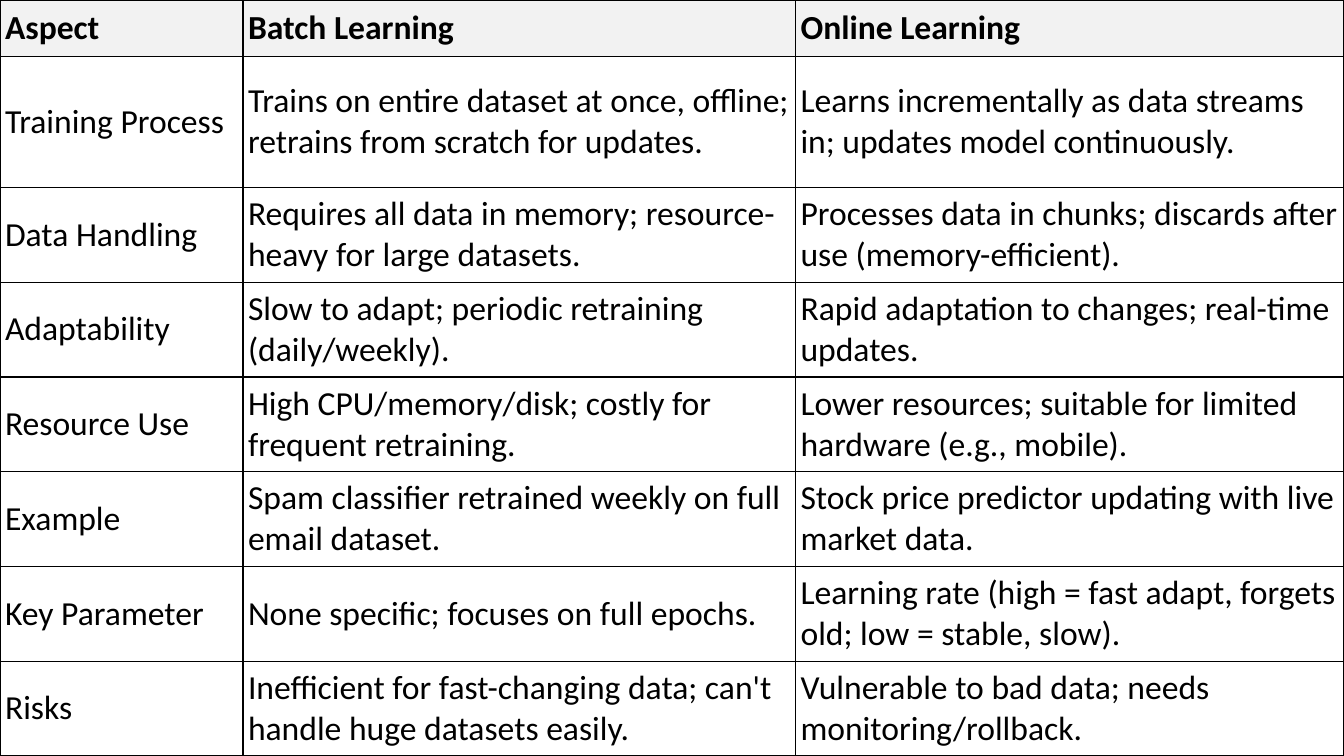
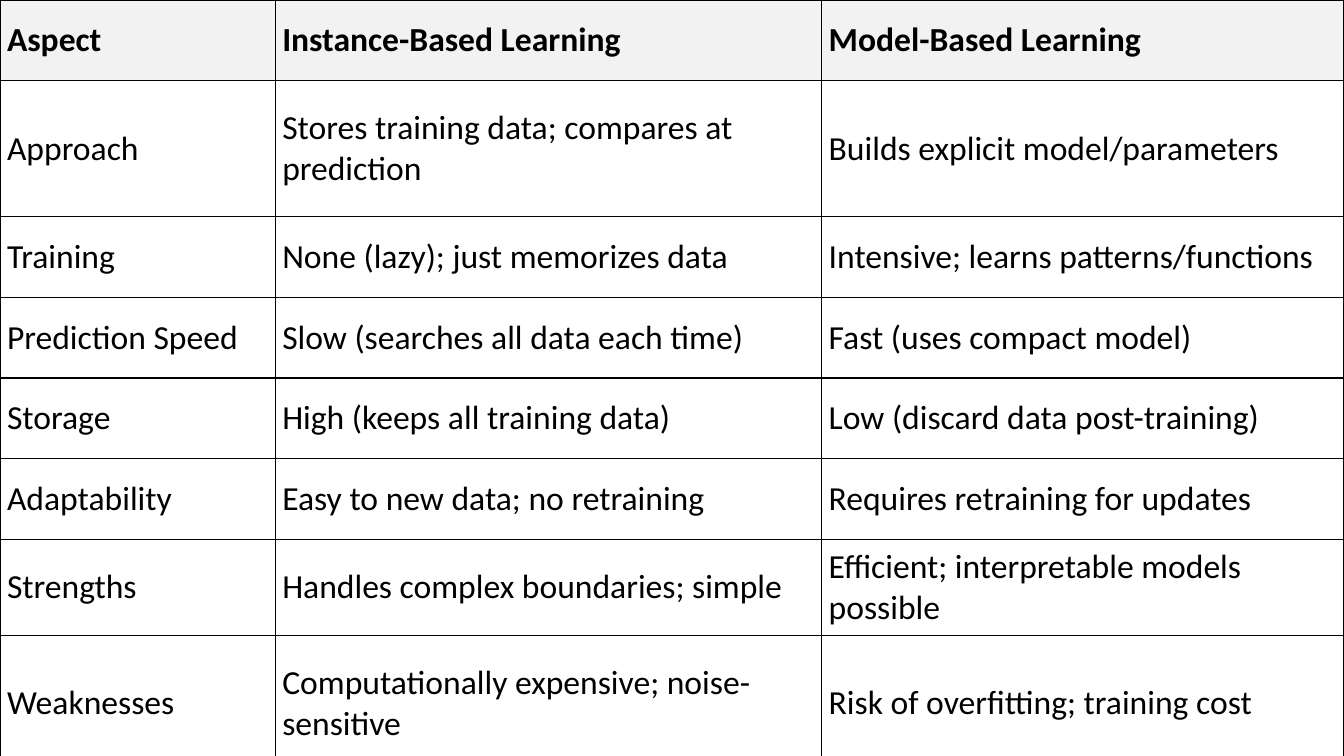
from dataclasses import dataclass, field

from pptx import Presentation
from pptx.dml.color import RGBColor
from pptx.enum.text import MSO_ANCHOR
from pptx.oxml.ns import qn
from pptx.presentation import Presentation as Deck
from pptx.table import _Cell as Cell
from pptx.util import Inches, Pt
from lxml.etree import SubElement

SLIDE_WIDTH, SLIDE_HEIGHT = 13.33, 7.5
COLORS = {"text": "000000", "border": "000000", "header": "F2F2F2"}
FONT_NAME, FONT_SIZE = "Calibri", 24
BORDER_WIDTH = 1


@dataclass(frozen=True)
class Comparison:
    """A full-slide table; the last column takes the width left over."""
    rows: list[tuple[str, str, str]]
    left_columns: tuple[float, float]
    row_height: float
    margin: float
    special_heights: dict[int, float] = field(default_factory=dict)

    def column_widths(self) -> list[float]:
        return [*self.left_columns, SLIDE_WIDTH - sum(self.left_columns)]

    def row_heights(self) -> list[float]:
        return [self.special_heights.get(index, self.row_height)
                for index in range(len(self.rows))]


COMPARISONS = [
    Comparison(
        rows=[
            ("Aspect", "Batch Learning", "Online Learning"),
            ("Training Process",
             "Trains on entire dataset at once, offline; retrains from scratch for updates.",
             "Learns incrementally as data streams in; updates model continuously."),
            ("Data Handling",
             "Requires all data in memory; resource-heavy for large datasets.",
             "Processes data in chunks; discards after use (memory-efficient)."),
            ("Adaptability",
             "Slow to adapt; periodic retraining (daily/weekly).",
             "Rapid adaptation to changes; real-time updates."),
            ("Resource Use",
             "High CPU/memory/disk; costly for frequent retraining.",
             "Lower resources; suitable for limited hardware (e.g., mobile)."),
            ("Example",
             "Spam classifier retrained weekly on full email dataset.",
             "Stock price predictor updating with live market data."),
            ("Key Parameter",
             "None specific; focuses on full epochs.",
             "Learning rate (high = fast adapt, forgets old; low = stable, slow)."),
            ("Risks",
             "Inefficient for fast-changing data; can't handle huge datasets easily.",
             "Vulnerable to bad data; needs monitoring/rollback."),
        ],
        left_columns=(2.41, 5.48),
        row_height=0.94,
        margin=0.05,
        special_heights={0: 0.56, 1: 1.3},
    ),
    Comparison(
        rows=[
            ("Aspect", "Instance-Based Learning", "Model-Based Learning"),
            ("Approach", "Stores training data; compares at prediction",
             "Builds explicit model/parameters"),
            ("Training", "None (lazy); just memorizes data",
             "Intensive; learns patterns/functions"),
            ("Prediction Speed", "Slow (searches all data each time)",
             "Fast (uses compact model)"),
            ("Storage", "High (keeps all training data)",
             "Low (discard data post-training)"),
            ("Adaptability", "Easy to new data; no retraining",
             "Requires retraining for updates"),
            ("Strengths", "Handles complex boundaries; simple",
             "Efficient; interpretable models possible"),
            ("Weaknesses", "Computationally expensive; noise-sensitive",
             "Risk of overfitting; training cost"),
        ],
        left_columns=(2.73, 5.42),
        row_height=0.8,
        margin=0.07,
        special_heights={1: 1.35, 7: 1.35},
    ),
]


def add_borders(cell: Cell) -> None:
    """Line all four sides; borders must precede the fill in the cell XML."""
    properties = cell._tc.get_or_add_tcPr()
    for side in ("a:lnL", "a:lnR", "a:lnT", "a:lnB"):
        line = SubElement(properties, qn(side), w=str(Pt(BORDER_WIDTH)))
        fill = SubElement(line, qn("a:solidFill"))
        SubElement(fill, qn("a:srgbClr"), val=COLORS["border"])


def format_cell(cell: Cell, text: str, margin: float, is_header: bool) -> None:
    add_borders(cell)
    if is_header:
        cell.fill.solid()
        cell.fill.fore_color.rgb = RGBColor.from_string(COLORS["header"])
    else:
        cell.fill.background()
    cell.vertical_anchor = MSO_ANCHOR.MIDDLE
    cell.margin_left = cell.margin_right = Inches(margin)
    cell.margin_top = cell.margin_bottom = Inches(margin)
    cell.text_frame.text = text
    font = cell.text_frame.paragraphs[0].runs[0].font
    font.name, font.size, font.bold = FONT_NAME, Pt(FONT_SIZE), is_header
    font.color.rgb = RGBColor.from_string(COLORS["text"])


def add_comparison_slide(presentation: Deck, comparison: Comparison) -> None:
    slide = presentation.slides.add_slide(presentation.slide_layouts.get_by_name("Blank"))
    widths, heights = comparison.column_widths(), comparison.row_heights()
    table = slide.shapes.add_table(len(heights), len(widths), 0, 0,
                                   Inches(SLIDE_WIDTH), Inches(sum(heights))).table
    table.first_row = table.horz_banding = False
    for column, width in zip(table.columns, widths):
        column.width = Inches(width)
    for row_index, (row, height) in enumerate(zip(table.rows, heights)):
        row.height = Inches(height)
        for cell, text in zip(row.cells, comparison.rows[row_index]):
            format_cell(cell, text, comparison.margin, is_header=row_index == 0)


def main() -> None:
    presentation = Presentation()
    presentation.slide_width = Inches(SLIDE_WIDTH)
    presentation.slide_height = Inches(SLIDE_HEIGHT)
    for comparison in COMPARISONS:
        add_comparison_slide(presentation, comparison)
    presentation.save("out.pptx")


if __name__ == "__main__":
    main()
